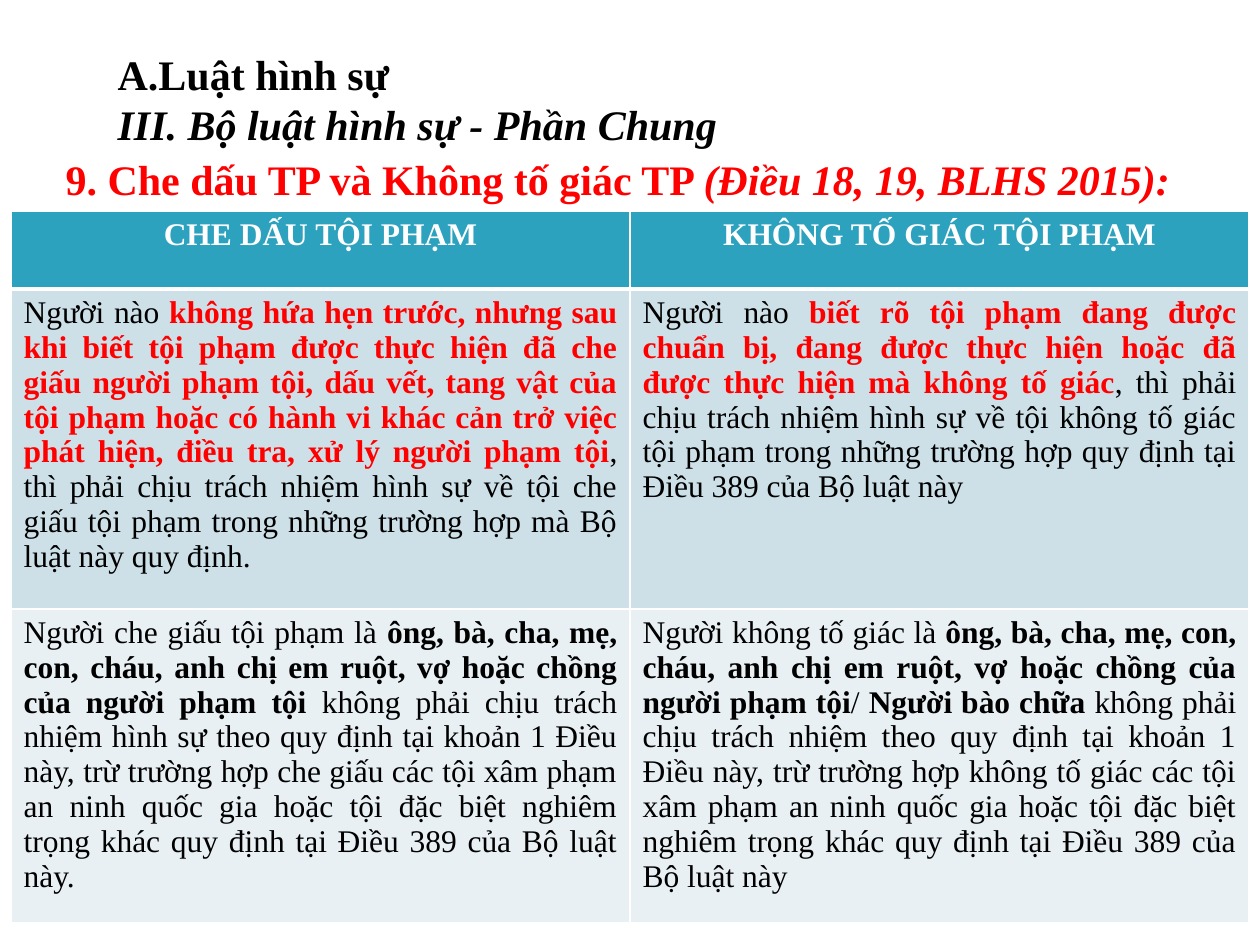
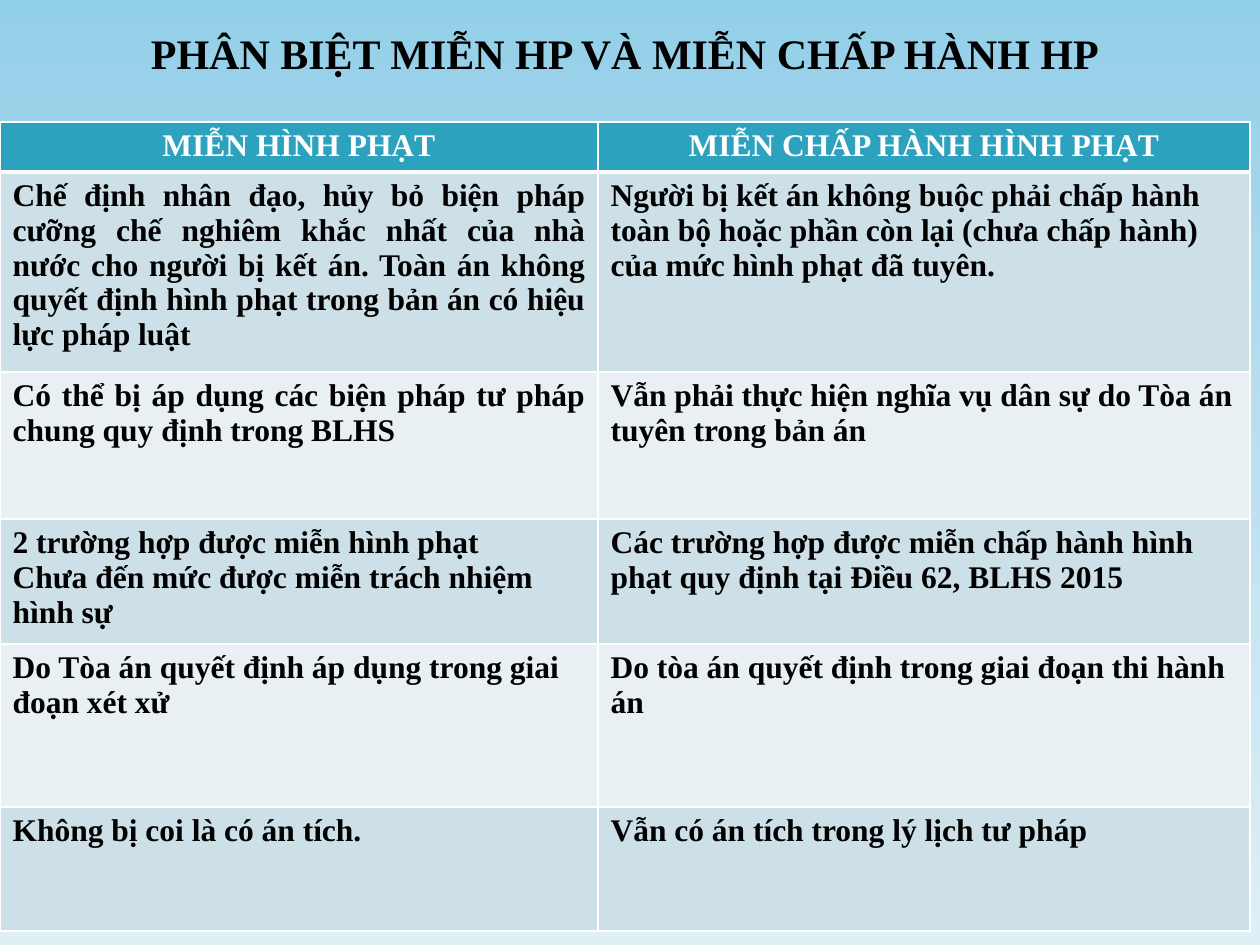
from copy import deepcopy
from dataclasses import dataclass

from lxml.etree import SubElement as Sub
from pptx import Presentation as Deck
from pptx.dml.color import RGBColor as Rgb
from pptx.enum.text import MSO_ANCHOR as Anchor, MSO_AUTO_SIZE as Fit, PP_ALIGN as Align
from pptx.oxml.ns import qn
from pptx.util import Emu, Pt

SCALE = 914400 / 126  # EMU in one px


def px(n):
    return Emu(round(n * SCALE))


@dataclass(frozen=True)
class Theme:
    font: str = "Times New Roman"
    head: int = 24
    text: int = 18
    black: str = "000000"
    white: str = "FFFFFF"
    red: str = "FF0000"
    teal: str = "2DA2BF"
    bands: tuple = ("CDE0E8", "E8F0F4")
    sky: tuple = ((0, "92CFE8"), (0.5, "BDE0EF"), (1, "DFEFF6"))
    thin: int = 1
    thick: int = 3


LEFT, MID, JUST = Align.LEFT, Align.CENTER, Align.JUSTIFY

# Run formats: each run is (text, format)
BOLD = {"bold": True}
SLANT = {"bold": True, "italic": True}
PLAIN = {"bold": False}
RED = {"bold": True, "color": "red"}
RED_SLANT = {**SLANT, "color": "red"}
WHITE = {"bold": True, "color": "white"}


class Maker:
    """Holds the theme and the current slide."""

    def __init__(self, theme):
        self.theme = theme
        self.deck = Deck()
        self.deck.slide_width, self.deck.slide_height = px(1260), px(945)

    def page(self, layout):
        self.slide = self.deck.slides.add_slide(self.deck.slide_layouts[layout])

    def back(self, stops):
        """Vertical gradient behind the slide."""
        fill = self.slide.background.fill
        fill.gradient()
        fill.gradient_angle = 270
        marks = self.slide.element.find(".//" + qn("a:gsLst"))
        marks.insert(1, deepcopy(marks[0]))
        for stop, (place, color) in zip(fill.gradient_stops, stops):
            stop.position = place
            stop.color.rgb = Rgb.from_string(color)

    def words(self, frame, paras, size, align, indent=0):
        """Fill a text frame with paragraphs of runs."""
        for i, runs in enumerate(paras):
            para = frame.add_paragraph() if i else frame.paragraphs[0]
            prop = para._p.get_or_add_pPr()
            prop.set("marL", str(px(indent)))
            prop.set("indent", "0")
            Sub(prop, qn("a:buNone"))
            para.alignment = align
            para.space_before = Pt(0)
            for text, style in runs:
                run = para.add_run()
                run.text = text
                look = {"name": self.theme.font, "size": Pt(size), **style}
                color = getattr(self.theme, look.pop("color", "black"))
                for key, value in look.items():
                    setattr(run.font, key, value)
                run.font.color.rgb = Rgb.from_string(color)

    def head(self, slot, box, paras, align, indent=0):
        """Place and fill a title or body placeholder."""
        shape = self.slide.placeholders[slot]
        for key, value in zip(("left", "top", "width", "height"), box):
            setattr(shape, key, px(value))
        frame = shape.text_frame
        form = {"word_wrap": True, "auto_size": Fit.NONE, "vertical_anchor": Anchor.TOP}
        for key, value in form.items():
            setattr(frame, key, value)
        self.words(frame, paras, self.theme.head, align, indent)

    def edge(self, cell, side, width):
        line = Sub(cell._tc.get_or_add_tcPr(), qn("a:ln" + side), w=str(Pt(width)))
        fill = Sub(line, qn("a:solidFill"))
        Sub(fill, qn("a:srgbClr"), val=self.theme.white)

    def table(self, spot, cols, rows, heads, body):
        """Header row plus banded rows; a body cell is (align, paragraphs)."""
        look = self.theme
        size = sum(cols), sum(rows)
        grid = self.slide.shapes.add_table(
            len(rows), len(cols), *map(px, (*spot, *size))).table
        grid.first_row = grid.horz_banding = False
        for col, width in zip(grid.columns, cols):
            col.width = px(width)
        for row, height in zip(grid.rows, rows):
            row.height = px(height)
        top = [(MID, [[(text, WHITE)]]) for text in heads]
        for r, line in enumerate([top, *body]):
            for c, (align, paras) in enumerate(line):
                cell = grid.cell(r, c)
                for side in "LRTB":
                    heavy = (r, side) in ((0, "B"), (1, "T"))
                    self.edge(cell, side, look.thick if heavy else look.thin)
                cell.fill.solid()
                color = look.bands[(r - 1) % 2] if r else look.teal
                cell.fill.fore_color.rgb = Rgb.from_string(color)
                self.words(cell.text_frame, paras, look.text, align)


def conceal(make):
    """Concealing a crime against failing to report it."""
    make.page(1)
    make.head(1, (53, 147, 1155, 63), [[
        ("9. Che dấu TP và Không tố giác TP ", RED),
        ("(Điều 18, 19, BLHS 2015):", RED_SLANT)]], JUST)
    make.head(0, (42, 42, 903, 165), [
        [("A.Luật hình sự", BOLD)],
        [("III. Bộ luật hình sự - Phần Chung", SLANT)]], JUST, 63)

    # Rule and exception for each offence
    kin = ("ông, bà, cha, mẹ, con, cháu, anh chị em ruột, vợ hoặc chồng "
           "của người phạm tội", BOLD)
    grave = ("an ninh quốc gia hoặc tội đặc biệt nghiêm trọng khác "
             "quy định tại Điều 389 của Bộ luật này")
    cells = [
        [[("Người nào ", PLAIN),
          ("không hứa hẹn trước, nhưng sau khi biết tội phạm được thực hiện "
           "đã che giấu người phạm tội, dấu vết, tang vật của tội phạm hoặc "
           "có hành vi khác cản trở việc phát hiện, điều tra, xử lý người "
           "phạm tội", RED),
          (", thì phải chịu trách nhiệm hình sự về tội che giấu tội phạm "
           "trong những trường hợp mà Bộ luật này quy định.", PLAIN)],
         [("Người nào ", PLAIN),
          ("biết rõ tội phạm đang được chuẩn bị, đang được thực hiện hoặc "
           "đã được thực hiện mà không tố giác", RED),
          (", thì phải chịu trách nhiệm hình sự về tội không tố giác tội phạm "
           "trong những trường hợp quy định tại Điều 389 của Bộ luật này", PLAIN)]],
        [[("Người che giấu tội phạm là ", PLAIN), kin,
          (" không phải chịu trách nhiệm hình sự theo quy định tại khoản 1 "
           f"Điều này, trừ trường hợp che giấu các tội xâm phạm {grave}.", PLAIN)],
         [("Người không tố giác là ", PLAIN), kin, ("/ ", PLAIN),
          ("Người bào chữa ", BOLD),
          ("không phải chịu trách nhiệm theo quy định tại khoản 1 Điều này, "
           f"trừ trường hợp không tố giác các tội xâm phạm {grave}", PLAIN)]],
    ]
    make.table((11, 211), (619, 619), (78, 320, 314),
               ("CHE DẤU TỘI PHẠM", "KHÔNG TỐ GIÁC TỘI PHẠM"),
               [[(JUST, [runs]) for runs in row] for row in cells])


def waive(make):
    """Exemption from penalty against exemption from serving it."""
    make.page(5)
    make.back(make.theme.sky)
    rows = [
        (JUST, ["Chế định nhân đạo, hủy bỏ biện pháp cưỡng chế nghiêm khắc nhất "
                "của nhà nước cho người bị kết án. Toàn án không quyết định hình "
                "phạt trong bản án có hiệu lực pháp luật"],
         "Người bị kết án không buộc phải chấp hành toàn bộ hoặc phần còn lại "
         "(chưa chấp hành) của mức hình phạt đã tuyên."),
        (JUST, ["Có thể bị áp dụng các biện pháp tư pháp chung quy định trong BLHS"],
         "Vẫn phải thực hiện nghĩa vụ dân sự do Tòa án tuyên trong bản án"),
        (LEFT, ["2 trường hợp được miễn hình phạt",
                "Chưa đến mức được miễn trách nhiệm hình sự"],
         "Các trường hợp được miễn chấp hành hình phạt quy định tại Điều 62, "
         "BLHS 2015"),
        (LEFT, ["Do Tòa án quyết định áp dụng trong giai đoạn xét xử"],
         "Do tòa án quyết định trong giai đoạn thi hành án"),
        (LEFT, ["Không bị coi là có án tích."],
         "Vẫn có án tích trong lý lịch tư pháp"),
    ]
    make.table((0, 122), (598, 652), (50, 200, 147, 125, 163, 124),
               ("MIỄN HÌNH PHẠT", "MIỄN CHẤP HÀNH HÌNH PHẠT"),
               [[(align, [[(text, BOLD)] for text in first]),
                 (LEFT, [[(last, BOLD)]])] for align, first, last in rows])
    make.head(0, (32, 21, 1186, 63),
              [[("PHÂN BIỆT MIỄN HP VÀ MIỄN CHẤP HÀNH HP", BOLD)]], MID)


def main():
    make = Maker(Theme())
    conceal(make)
    waive(make)
    make.deck.save("out.pptx")


if __name__ == "__main__":
    main()
